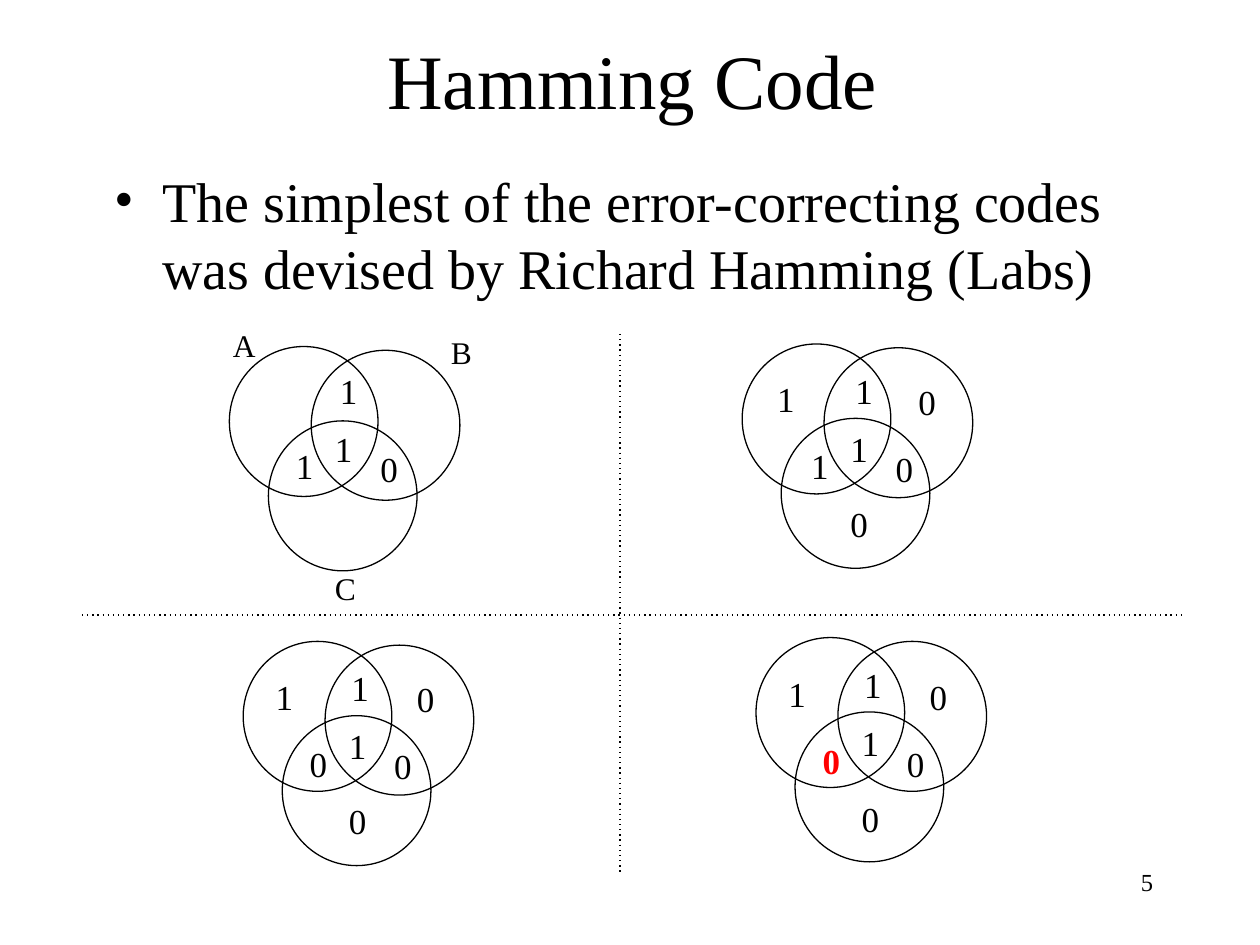
from lxml import etree
from pptx import Presentation
from pptx.dml.color import RGBColor
from pptx.enum.shapes import MSO_CONNECTOR, MSO_SHAPE
from pptx.enum.text import MSO_ANCHOR, PP_ALIGN
from pptx.oxml.ns import qn
from pptx.util import Pt

PX = 9144  # one px is a hundredth of an inch
BLACK = RGBColor(0x00, 0x00, 0x00)
RED = RGBColor(0xFF, 0x00, 0x00)
FONT = "Times New Roman"
LINE_WIDTH = Pt(0.75)
LEFT, CENTER, RIGHT = PP_ALIGN.LEFT, PP_ALIGN.CENTER, PP_ALIGN.RIGHT
TOP, MIDDLE = MSO_ANCHOR.TOP, MSO_ANCHOR.MIDDLE
OVAL = MSO_SHAPE.OVAL
STRAIGHT = MSO_CONNECTOR.STRAIGHT

# Offsets from the top left corner of a diagram
CIRCLE_SIZE = (118, 119)
CIRCLES = {"A": (0, 0), "B": (65, 3), "C": (31, 59)}
DIGIT_SIZE = (34, 43)
DIGITS = {
    "A": (16, 22), "B": (128, 24), "C": (74, 121),
    "AB": (76, 15), "AC": (43, 75), "BC": (110, 77), "ABC": (74, 61),
}
LABEL_SIZE = (38, 40)
LABELS = {"A": (-7, -21), "B": (166, -16), "C": (74, 172)}

DATA_BITS = {"AB": "1", "AC": "1", "BC": "0", "ABC": "1"}
CODE_BITS = {**DATA_BITS, "A": "1", "B": "0", "C": "0"}
BROKEN_BITS = {**CODE_BITS, "AC": "0"}

DIAGRAMS = [
    {"corner": (182, 275), "bits": DATA_BITS, "shift": (0, -2), "nudge": 2,
     "labelled": True},
    {"corner": (589, 273), "bits": CODE_BITS, "shift": (2, 0), "nudge": 2},
    {"corner": (193, 509), "bits": BROKEN_BITS},
    {"corner": (600, 506), "bits": BROKEN_BITS, "shift": (0, 1), "error": "AC"},
]


def emu(*lengths):
    return [length * PX for length in lengths]


def add_text(slide, box, text, size, align=LEFT, anchor=TOP, wrap=True,
             color=BLACK, bold=False, bullet=None):
    frame = slide.shapes.add_textbox(*emu(*box)).text_frame
    frame.word_wrap = wrap
    frame.vertical_anchor = anchor
    paragraph = frame.paragraphs[0]
    paragraph.text = text
    paragraph.alignment = align
    if bullet:
        add_bullet(paragraph, bullet, 38)
    font = paragraph.runs[0].font
    font.color.rgb = color
    for name, value in {"name": FONT, "size": Pt(size), "bold": bold}.items():
        setattr(font, name, value)


def add_bullet(paragraph, char, indent):
    """Hang the paragraph by indent px behind a bullet."""
    properties = paragraph._p.get_or_add_pPr()
    properties.set("marL", str(indent * PX))
    properties.set("indent", str(-indent * PX))
    etree.SubElement(properties, qn("a:buFont")).set("typeface", FONT)
    etree.SubElement(properties, qn("a:buChar")).set("char", char)


def add_circle(slide, box):
    circle = slide.shapes.add_shape(OVAL, *emu(*box))
    circle.shadow.inherit = False
    circle.fill.background()
    circle.line.color.rgb = BLACK
    circle.line.width = LINE_WIDTH


def add_divider(slide, start, end):
    """Draw a dotted line; its dash is missing from the dash style enum."""
    divider = slide.shapes.add_connector(STRAIGHT, *emu(*start, *end))
    divider.line.color.rgb = BLACK
    divider.line.width = LINE_WIDTH
    properties = divider._element.spPr
    outline = properties.find(qn("a:ln"))
    etree.SubElement(outline, qn("a:prstDash")).set("val", "dot")
    etree.SubElement(properties, qn("a:effectLst"))


def add_venn(slide, corner, bits, shift=(0, 0), nudge=0, labelled=False,
             error=None):
    """Draw three circles with a bit in each region.

    shift moves all bits, nudge moves only the AB bit to the right,
    and error names the region whose bit is marked.
    """
    left, top = corner
    for x, y in CIRCLES.values():
        add_circle(slide, (left + x, top + y, *CIRCLE_SIZE))
    if labelled:
        for label, (x, y) in LABELS.items():
            add_text(slide, (left + x, top + y, *LABEL_SIZE), label, 18,
                     wrap=False)
    for region, bit in bits.items():
        x, y = DIGITS[region]
        x += left + shift[0] + (nudge if region == "AB" else 0)
        y += top + shift[1]
        wrong = region == error
        add_text(slide, (x, y, *DIGIT_SIZE), bit, 20, wrap=False,
                 color=RED if wrong else BLACK, bold=wrong)


def main():
    presentation = Presentation()
    presentation.slide_width, presentation.slide_height = emu(1000, 750)
    slide = presentation.slides.add_slide(presentation.slide_layouts[6])

    add_text(slide, (77, 0, 850, 125), "Hamming Code", 44, CENTER, MIDDLE)
    add_text(slide, (81, 127, 850, 129),
             "The simplest of the error-correcting codes was devised by "
             "Richard Hamming (Labs)", 32, bullet="•")
    for diagram in DIAGRAMS:
        add_venn(slide, **diagram)
    add_divider(slide, (65, 488), (940, 488))
    add_divider(slide, (492, 265), (492, 694))
    add_text(slide, (717, 683, 208, 50), "5", 14, RIGHT)

    presentation.save("out.pptx")


if __name__ == "__main__":
    main()
